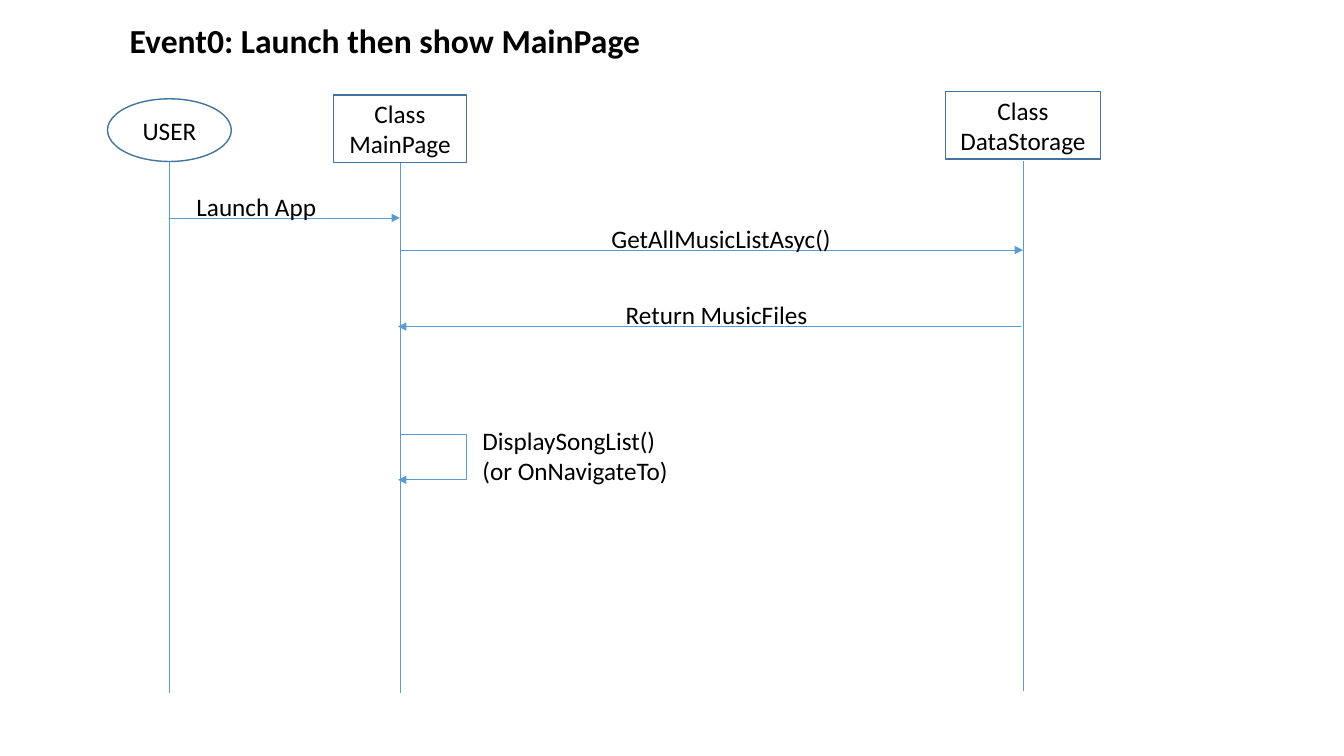
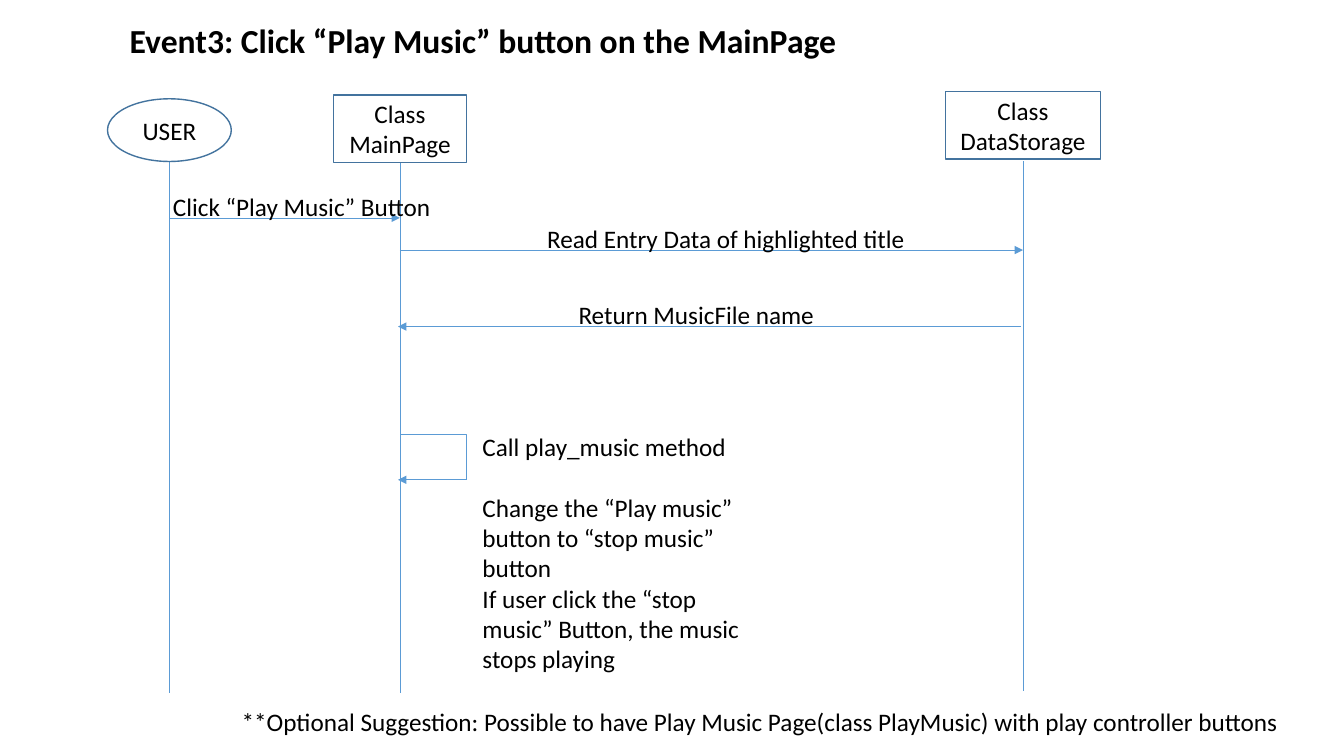
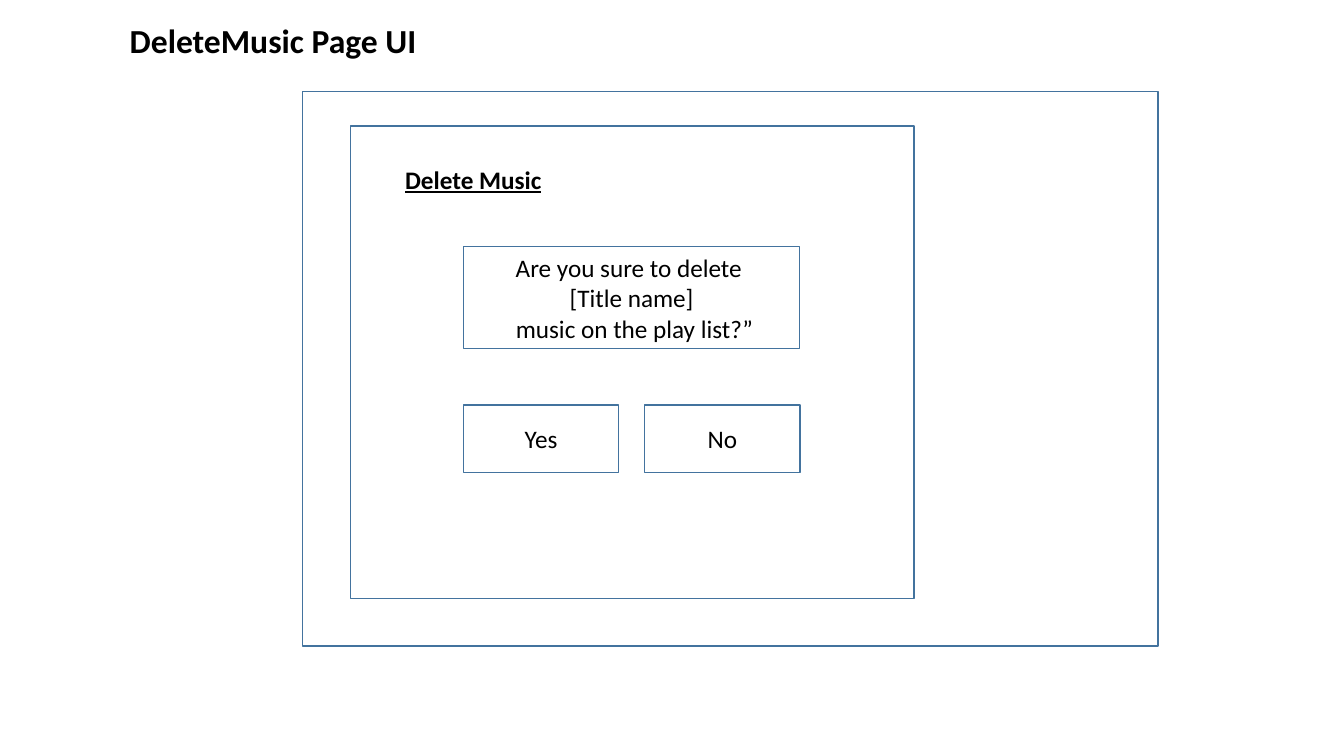
from lxml import etree
from pptx import Presentation
from pptx.dml.color import RGBColor
from pptx.enum import shapes, text
from pptx.oxml.ns import qn
from pptx.util import Cm, Pt

FONT = "Calibri"
INK = "000000"
OUTLINE = "43739E"
ARROW = "5B9BD5"
RECT = shapes.MSO_SHAPE.RECTANGLE
OVAL = shapes.MSO_SHAPE.OVAL


def add_text(slide, content, x, y, w, h, preset=None, size=18, bold=False,
             underline=False, border=1):
    """Add left-aligned text, or centred text in an outlined shape when preset is given."""
    area = Cm(x), Cm(y), Cm(w), Cm(h)
    if preset is None:
        box = slide.shapes.add_textbox(*area)
        align = text.PP_ALIGN.LEFT
    else:
        box = slide.shapes.add_shape(preset, *area)
        box.shadow.inherit = False
        box.fill.background()
        box.line.color.rgb = RGBColor.from_string(OUTLINE)
        box.line.width = Pt(border)
        align = text.PP_ALIGN.CENTER
    frame = box.text_frame
    frame.word_wrap = True
    frame.text = content
    for paragraph in frame.paragraphs:
        paragraph.alignment = align
        for run in paragraph.runs:
            run.font.name = FONT
            run.font.size = Pt(size)
            run.font.bold = bold
            run.font.underline = underline
            run.font.color.rgb = RGBColor.from_string(INK)
    return frame


def add_line(slide, x1, y1, x2, y2, arrow=False, kind=shapes.MSO_CONNECTOR.STRAIGHT):
    line = slide.shapes.add_connector(kind, Cm(x1), Cm(y1), Cm(x2), Cm(y2))
    line.line.color.rgb = RGBColor.from_string(ARROW)
    line.line.width = Pt(0.5)
    properties = line._element.spPr
    if arrow:
        etree.SubElement(properties.find(qn("a:ln")), qn("a:tailEnd"), type="triangle")
    etree.SubElement(properties, qn("a:effectLst"))
    return line


prs = Presentation()
prs.slide_width, prs.slide_height = Cm(33.87), Cm(19.05)
blank = prs.slide_layouts[6]

# Participants: text, shape, centre x, top, width, height, lifeline top
USER_X, PAGE_X, STORAGE_X = 4.27, 10.08, 25.78
LIFELINE_LENGTH = 13.36
participants = [
    ("USER", OVAL, USER_X, 2.49, 3.12, 1.58, 4.09),
    ("Class\nMainPage", RECT, PAGE_X, 2.39, 3.35, 1.7, 4.09),
    ("Class\nDataStorage", RECT, STORAGE_X, 2.31, 3.91, 1.7, 4.06),
]
# Messages: start x, end x, y
messages = [
    (USER_X, PAGE_X, 5.49),
    (PAGE_X, STORAGE_X, 6.3),
    (STORAGE_X - 0.05, PAGE_X - 0.05, 8.23),
]
# Events: title, message labels (text, left, width), note, note top, note height
events = [
    ("Event0: Launch then show MainPage",
     [("Launch App", 4.7, 4.93),
      ("GetAllMusicListAsyc()", 15.16, 6.4),
      ("Return MusicFiles", 15.52, 5.59)],
     "DisplaySongList()\n(or OnNavigateTo)", 10.59, 1.8),
    ("Event3: Click “Play Music” button on the MainPage",
     [("Click “Play Music” Button", 4.11, 7.06),
      ("Read Entry Data of highlighted title", 13.54, 9.7),
      ("Return MusicFile name", 14.33, 8)],
     "Call play_music method\n"
     "Change the “Play music” button to “stop music” button\n"
     "If user click the “stop music” Button, the music stops playing", 10.74, 6.4),
]
TITLE = dict(x=3.02, y=0.38, w=21.54, h=1.27, size=24, bold=True)

for title, labels, note, note_top, note_height in events:
    slide = prs.slides.add_slide(blank)
    add_text(slide, title, **TITLE)
    for name, preset, centre, top, width, height, life_top in participants:
        add_line(slide, centre, life_top, centre, life_top + LIFELINE_LENGTH)
        add_text(slide, name, centre - width / 2, top, width, height, preset)
    for (start, end, y), (label, left, width) in zip(messages, labels):
        add_line(slide, start, y, end, y, arrow=True)
        add_text(slide, label, left, y - 0.8, width, 1.02)

    # The self-call leaves the lifeline downwards, so the elbow is turned by 270 degrees
    self_call = add_line(slide, 12.05, 10.11, 9.79, 11.79,
                         kind=shapes.MSO_CONNECTOR.ELBOW)
    self_call._element.spPr.find(qn("a:xfrm")).set("rot", str(270 * 60000))
    add_line(slide, 11.76, 12.09, PAGE_X - 0.05, 12.09, arrow=True)
    note_frame = add_text(slide, note, 11.91, note_top, 7.7, note_height)

# The last event separates its first note line and adds a suggestion
note_frame.paragraphs[1].space_before = Pt(22)
add_text(slide, "**Optional Suggestion: Possible to have Play Music Page(class PlayMusic) "
         "with play controller buttons", 5.84, 17.68, 27.46, 1.02)

# Page mock-up
slide = prs.slides.add_slide(blank)
add_text(slide, "DeleteMusic Page UI", **TITLE)
add_text(slide, "", 7.62, 2.31, 21.56, 13.97, RECT)
add_text(slide, "", 8.84, 3.18, 14.2, 11.91, RECT)
add_text(slide, "Delete Music", 9.96, 4.01, 8.74, 1.02, bold=True, underline=True)
add_text(slide, "Are you sure to delete \n[Title name]\n music on the play list?”",
         11.68, 6.22, 8.48, 2.57, RECT, border=0.75)
for column, answer in enumerate(["Yes", "No"]):
    add_text(slide, answer, 11.68 + column * 4.57, 10.21, 3.91, 1.7, RECT)

prs.save("out.pptx")
